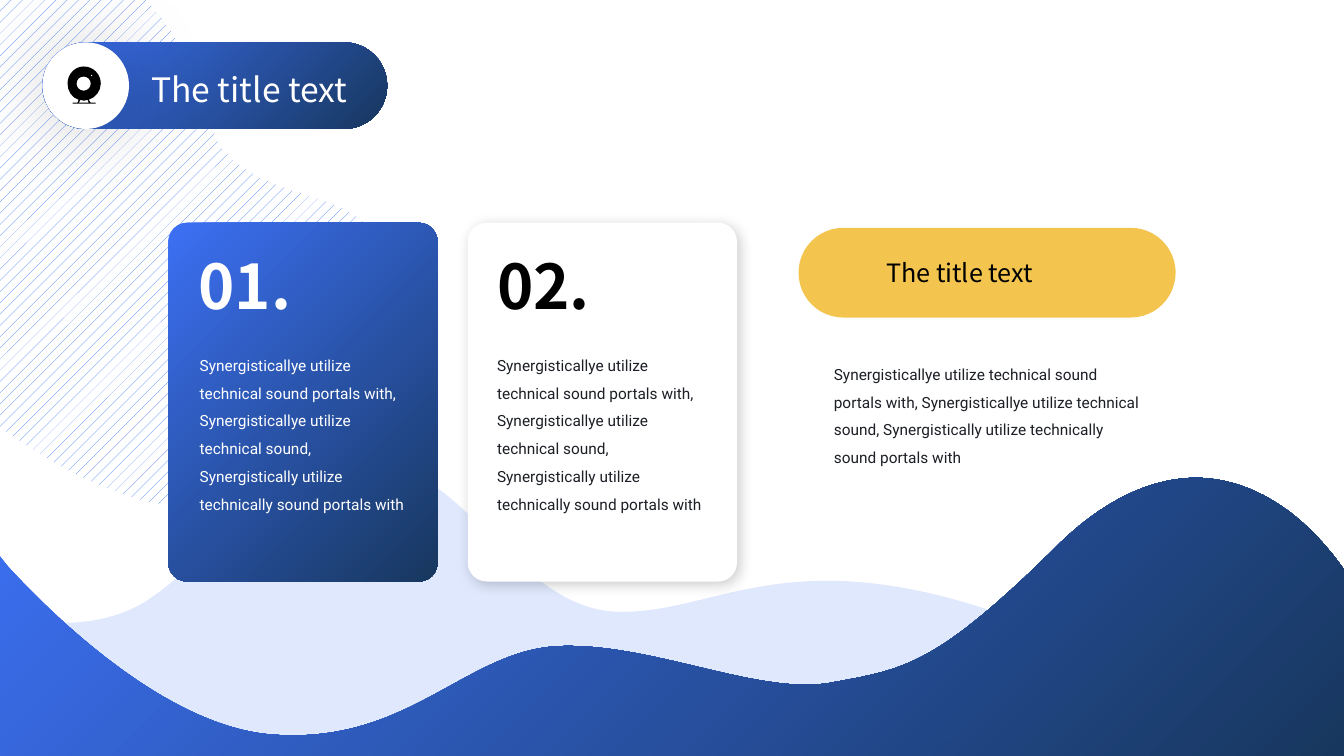
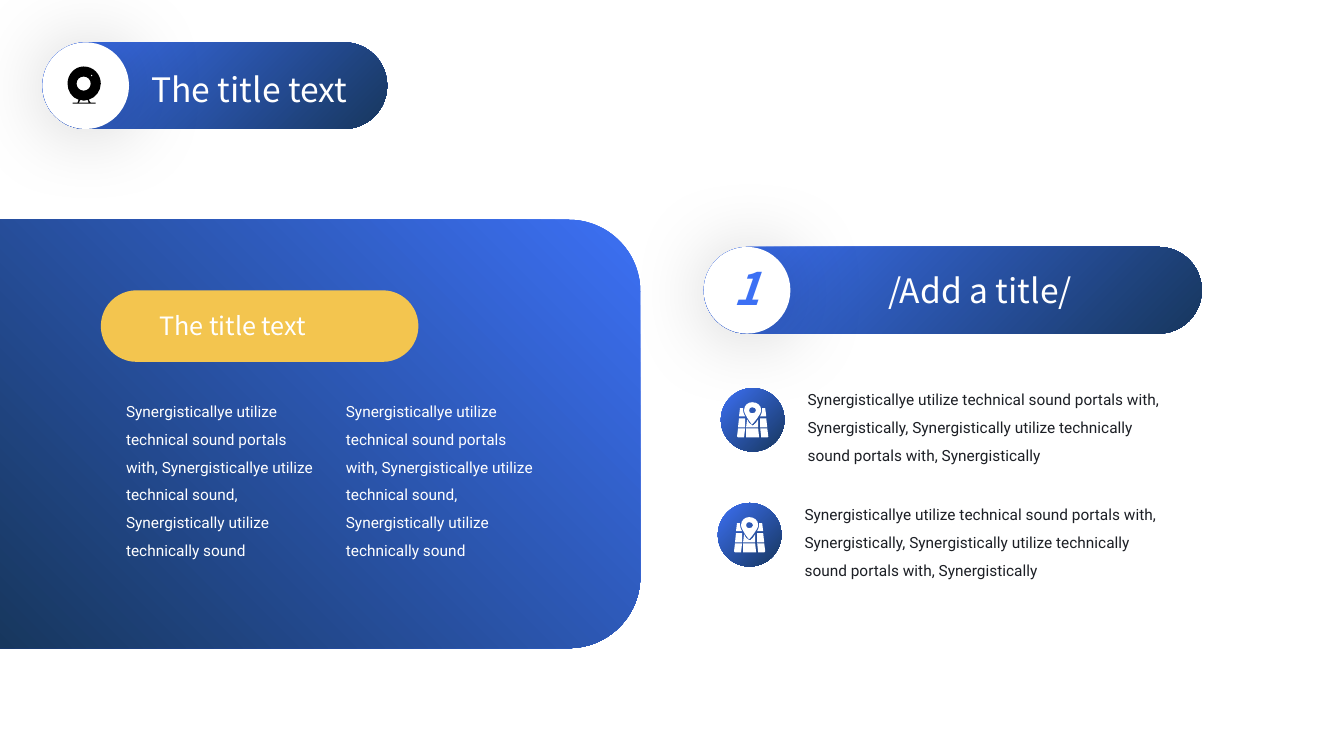
"""Build two slides of cards, pills and waves under a shared title pill."""
import math

from pptx import Presentation
from pptx import util as u
from pptx.dml.color import RGBColor
from pptx.enum import dml, shapes, text
from pptx.oxml import parse_xml
from pptx.oxml.ns import nsdecls, qn

WIDTH, HEIGHT = 13.33, 7.5
BLUE, NAVY, GOLD, WHITE, BLACK, INK = "3C70F4", "17375E", "F3C54F", "FFFFFF", "000000", "1C1F25"
BLEND = (BLUE, NAVY)
HEAD, BODY = "Noto Sans CJK SC", "Roboto"
FORM = shapes.MSO_SHAPE
ALIGN, ANCHOR = text.PP_ALIGN, text.MSO_ANCHOR
color = RGBColor.from_string


def draw(page, form, place, fill, adjust=None, turn=0, blur=0, alpha=100):
    """Draw a preset in a box, or contours of lines and curves shifted by place."""
    if isinstance(form, list):
        spin = complex(math.cos(math.radians(turn)), -math.sin(math.radians(turn)))
        contours = [[(complex(*segment[i:i + 2]) + complex(*place)) * spin
                     for segment in contour for i in range(0, len(segment), 2)] for contour in form]
        across = [point.real for contour in contours for point in contour]
        down = [point.imag for contour in contours for point in contour]
        middle = complex(min(across) + max(across), min(down) + max(down)) / 2
        shift = middle / spin - middle
        builder = None
        for contour in contours:
            spots = [(u.Inches((p + shift).real), u.Inches((p + shift).imag)) for p in contour]
            if builder is None:
                builder = page.shapes.build_freeform(*spots[0], scale=1.0)
            else:
                builder.move_to(*spots[0])
            builder.add_line_segments(spots[1:], close=True)
        shape = builder.convert_to_shape()
        nodes = iter(list(shape.element.iter(qn("a:lnTo"))))
        for segment in (segment for contour in form for segment in contour[1:]):
            ends = [next(nodes) for _ in range(len(segment) // 2)]
            if len(ends) == 3:
                curve = parse_xml(f'<a:cubicBezTo {nsdecls("a")}/>')
                ends[0].addprevious(curve)
                for node in ends:
                    curve.append(node[0])
                    node.getparent().remove(node)
    else:
        shape = page.shapes.add_shape(form, *map(u.Inches, place))
    shape.rotation = turn
    shape.line.fill.background()
    shape.shadow.inherit = False
    if adjust is not None:
        shape.adjustments[0] = adjust
    if isinstance(fill, tuple):
        shape.fill.gradient()
        shape.fill.gradient_angle = 315
        for stop, tone in zip(shape.fill.gradient_stops, fill):
            stop.color.rgb = color(tone)
    else:
        shape.fill.solid()
        shape.fill.fore_color.rgb = color(fill)
    properties = shape.element.spPr
    if alpha < 100:
        properties.find(qn("a:solidFill"))[0].append(
            parse_xml(f'<a:alpha {nsdecls("a")} val="{alpha * 1000}"/>'))
    if blur:
        properties.find(qn("a:effectLst")).append(parse_xml(
            f'<a:outerShdw {nsdecls("a")} blurRad="{u.Pt(blur)}" dist="{u.Pt(3)}" dir="2700000" '
            f'algn="tl" rotWithShape="0"><a:srgbClr val="{BLACK}"><a:alpha val="20000"/>'
            '</a:srgbClr></a:outerShdw>'))
    return shape


def write(page, words, place, size, tone, face=HEAD, inset=(0.1, 0.05), align=ALIGN.LEFT,
          anchor=ANCHOR.TOP, spacing=1.0, bold=False, italic=False, box=None):
    """Place a text box or the given placeholder and set its one paragraph."""
    box = box or page.shapes.add_textbox(0, 0, 0, 0)
    frame = box.text_frame
    para = frame.paragraphs[0]
    span = para.add_run()
    side, top = map(u.Inches, inset)
    left, upper, width, height = map(u.Inches, place)
    formats = (
        (box, {"left": left, "top": upper, "width": width, "height": height}),
        (frame, {"word_wrap": True, "auto_size": text.MSO_AUTO_SIZE.SHAPE_TO_FIT_TEXT,
                 "vertical_anchor": anchor, "margin_left": side, "margin_right": side,
                 "margin_top": top, "margin_bottom": top}),
        (para, {"alignment": align, "line_spacing": spacing}),
        (span, {"text": words}),
        (span.font, {"name": face, "size": u.Pt(size), "bold": bold, "italic": italic}),
    )
    for target, values in formats:
        for name, value in values.items():
            setattr(target, name, value)
    span.font.color.rgb = color(tone)


PROSE = {"size": 11, "face": BODY, "inset": (0, 0), "spacing": 1.5}
SHORT = ("Synergisticallye utilize technical sound portals with, Synergisticallye utilize "
         "technical sound, Synergistically utilize technically sound")
LONG = SHORT + " portals with"
NOTE = ("Synergisticallye utilize technical sound portals with, Synergistically, "
        "Synergistically utilize technically sound portals with, Synergistically")

deck = Presentation()
deck.slide_width, deck.slide_height = u.Inches(WIDTH), u.Inches(HEIGHT)
cards_page, panel_page = [deck.slides.add_slide(deck.slide_layouts[5]) for _ in range(2)]

hatch_outline = [[
    (0, 0), (1.45, 0), (1.52, 0.08), (1.58, 0.15, 1.64, 0.23, 1.7, 0.32),
    (1.89, 0.63, 2.01, 0.98, 2.13, 1.34), (2.15, 1.39, 2.17, 1.44, 2.21, 1.48),
    (2.45, 1.77, 2.83, 1.87, 3.18, 1.98), (3.54, 2.1, 3.81, 2.32, 3.94, 2.66),
    (4.09, 3.04, 4.04, 3.6, 3.83, 3.94), (3.55, 4.4, 3.17, 4.67, 2.68, 4.89),
    (2.24, 5.09, 1.73, 5.07, 1.27, 4.92), (0.81, 4.77, 0.4, 4.52, 0, 4.24)]]
pale_wave = [[
    (3.6, 4.55), (3.65, 4.55, 3.71, 4.55, 3.77, 4.57), (4.69, 4.76, 5.16, 6.04, 6.13, 6.07),
    (7.11, 6.09, 7.81, 5.34, 9.98, 6.11), (12.13, 6.89, WIDTH, 5.86, WIDTH, 5.86),
    (WIDTH, 6.64, WIDTH, 7.13, WIDTH, 7.43), (WIDTH, HEIGHT), (0, HEIGHT), (0, 6.1), (0.01, 6.1),
    (0.25, 6.17, 0.97, 6.3, 1.5, 5.93), (2.12, 5.51, 2.76, 4.52, 3.6, 4.55)]]
deep_wave = [[
    (11.87, 4.74), (12.44, 4.75, 12.94, 5.1, WIDTH, 5.65), (WIDTH, 6.68, WIDTH, 7.2, WIDTH, 7.46),
    (WIDTH, HEIGHT), (0, HEIGHT), (0, 5.52), (0.07, 5.61), (0.47, 6.05, 1.64, 7.23, 2.73, 7.29),
    (4.07, 7.38, 4.63, 6.44, 5.56, 6.41), (6.49, 6.38, 7.54, 6.91, 8.26, 6.77),
    (8.97, 6.64, 9.28, 6.6, 10.44, 5.46), (10.94, 4.95, 11.43, 4.74, 11.87, 4.74)]]
hatch = draw(cards_page, hatch_outline, (0, 0), WHITE, turn=45.8)
hatch.fill.patterned()
hatch.fill.pattern = dml.MSO_PATTERN.PERCENT_10
hatch.fill.fore_color.rgb, hatch.fill.back_color.rgb = color(BLUE), color(WHITE)
draw(cards_page, pale_wave, (0, 0), BLUE, alpha=16)
draw(cards_page, deep_wave, (0, 0), BLEND)

draw(panel_page, FORM.ROUND_2_SAME_RECTANGLE, (1.05, 1.13, 4.25, 6.35), BLEND, turn=90)
gold_pills = ((cards_page, (7.92, 2.26, 3.74, 0.89), (8.69, 2.5, 2.18, 0.4), BLACK),
              (panel_page, (1, 2.88, 3.15, 0.71), (1.48, 3.03, 2.18, 0.4), WHITE))
for page, pill, label, tone in gold_pills:
    draw(page, FORM.ROUNDED_RECTANGLE, pill, GOLD, 0.5)
    write(page, "The title text", label, 18, tone, align=ALIGN.JUSTIFY)

camera = [
    [(0.83, 0.66), (0.93, 0.66, 1, 0.74, 1, 0.83), (1, 0.9, 0.95, 0.97, 0.88, 0.99), (0.9, 1.02),
     (0.95, 1.02), (0.95, 1.03), (0.72, 1.03), (0.72, 1.02), (0.77, 1.02), (0.78, 0.99),
     (0.71, 0.97, 0.67, 0.9, 0.67, 0.83), (0.67, 0.74, 0.74, 0.66, 0.83, 0.66)],
    [(0.8, 0.99), (0.78, 1.02), (0.88, 1.02), (0.87, 0.99), (0.86, 0.99, 0.85, 1, 0.83, 1),
     (0.82, 1, 0.81, 0.99, 0.8, 0.99)],
    [(0.83, 0.76), (0.79, 0.76, 0.76, 0.79, 0.76, 0.83), (0.76, 0.87, 0.79, 0.9, 0.83, 0.9),
     (0.87, 0.9, 0.9, 0.87, 0.9, 0.83), (0.9, 0.79, 0.87, 0.76, 0.83, 0.76)],
    [(0.91, 0.74), (0.91, 0.74, 0.9, 0.74, 0.9, 0.75), (0.9, 0.75, 0.91, 0.76, 0.91, 0.76),
     (0.92, 0.76, 0.92, 0.75, 0.92, 0.75), (0.92, 0.74, 0.92, 0.74, 0.91, 0.74)]]
pills = ((cards_page, 0.42, 0.42, 3.42), (panel_page, 0.42, 0.42, 3.42), (panel_page, 6.98, 2.45, 4.94))
for page, left, top, width in pills:
    draw(page, FORM.ROUNDED_RECTANGLE, (left, top, width, 0.86), BLEND, 0.5)
    draw(page, FORM.OVAL, (left, top, 0.86, 0.86), WHITE, blur=59)
for page in (cards_page, panel_page):
    title = page.shapes.title
    page.shapes.element.append(title.element)
    write(page, "The title text", (1.4, 0.63, 2.41, 0.5), 24, WHITE, box=title)
    draw(page, camera, (0, 0), BLACK)

cards = ((BLEND, WHITE, WHITE, 0), (WHITE, BLACK, INK, 10))
for column, (fill, number_tone, prose_tone, blur) in enumerate(cards):
    draw(cards_page, FORM.ROUNDED_RECTANGLE, (1.67 + 2.97 * column, 2.21, 2.67, 3.56), fill, 0.07, blur=blur)
    write(cards_page, f"0{column + 1}.", (1.97 + 2.96 * column, 2.41, 2.08, 0.84), 44, number_tone,
          inset=(0, 0.05), bold=True)
    write(cards_page, LONG, (1.98 + 2.95 * column, 3.44, 2.05, 1.94), tone=prose_tone, **PROSE)
    write(panel_page, SHORT, (1.25 + 2.18 * column, 3.9, 1.95, 1.67), tone=WHITE, **PROSE)
write(cards_page, LONG, (8.27, 3.53, 3.08, 1.39), tone=INK, **PROSE)

write(panel_page, "1", (7.15, 2.58, 0.52, 0.54), 32, BLUE, inset=(0, 0), align=ALIGN.CENTER,
      anchor=ANCHOR.MIDDLE, bold=True, italic=True)
write(panel_page, "/Add a title/", (7.98, 2.63, 3.48, 0.5), 24, WHITE, align=ALIGN.CENTER)

map_left = [
    [(0.24, 0.3), (0.18, 0.3), (0.17, 0.39), (0.24, 0.39)],
    [(0.24, 0.4), (0.17, 0.4), (0.16, 0.48), (0.17, 0.49), (0.23, 0.49)],
    [(0.24, 0.28), (0.23, 0.26, 0.22, 0.24, 0.22, 0.22), (0.22, 0.2), (0.19, 0.2), (0.18, 0.28)]]
map_right = [[tuple(0.63 - value if i % 2 == 0 else value for i, value in enumerate(segment))
              for segment in tile] for tile in map_left]
map_middle = [
    [(0.25, 0.4), (0.37, 0.4), (0.38, 0.49), (0.25, 0.49)],
    [(0.33, 0.36), (0.33, 0.37, 0.32, 0.37, 0.31, 0.37), (0.31, 0.37, 0.3, 0.37, 0.3, 0.36),
     (0.29, 0.36, 0.27, 0.34, 0.26, 0.31), (0.25, 0.39), (0.37, 0.39), (0.37, 0.31),
     (0.35, 0.34, 0.34, 0.36, 0.33, 0.36)]]
pin = [
    [(0.31, 0.14), (0.27, 0.14, 0.23, 0.17, 0.23, 0.22), (0.23, 0.26, 0.3, 0.35, 0.3, 0.35),
     (0.31, 0.36, 0.31, 0.36, 0.31, 0.36), (0.32, 0.36, 0.32, 0.36, 0.32, 0.35),
     (0.32, 0.35, 0.4, 0.26, 0.4, 0.22), (0.4, 0.17, 0.36, 0.14, 0.31, 0.14)],
    [(0.31, 0.25), (0.29, 0.25, 0.28, 0.24, 0.28, 0.22), (0.28, 0.2, 0.29, 0.19, 0.31, 0.19),
     (0.33, 0.19, 0.35, 0.2, 0.35, 0.22), (0.35, 0.24, 0.33, 0.25, 0.31, 0.25)]]
map_pieces = [[tile] for tile in map_left + map_right + map_middle] + [pin]
for left, top in ((7.15, 3.85), (7.12, 4.99)):
    draw(panel_page, FORM.OVAL, (left, top, 0.63, 0.63), BLEND)
    icon = panel_page.shapes.add_group_shape()
    for piece in map_pieces:
        draw(icon, piece, (left, top), WHITE)
    write(panel_page, NOTE, (left + 0.86, top - 0.07, 3.63, 1.07), tone=INK, **PROSE)

deck.save("out.pptx")
